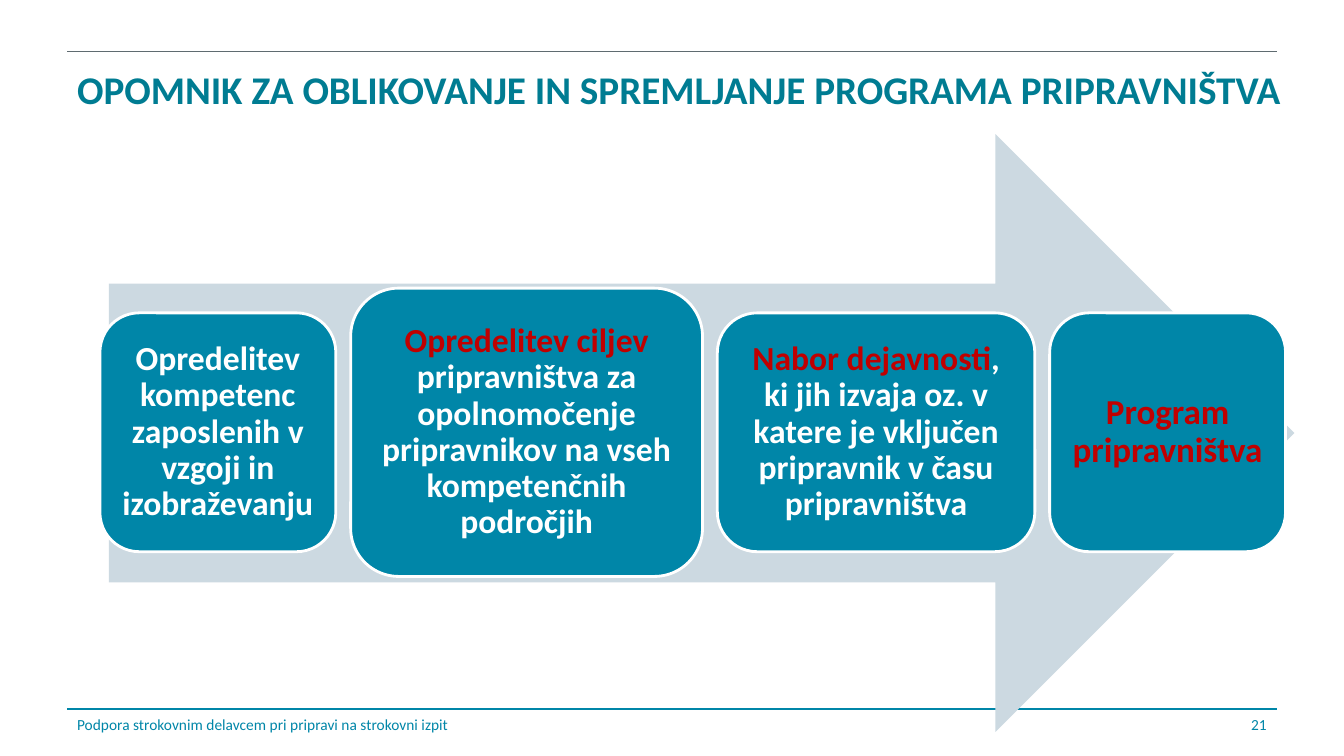
import pptx
import pptx.util
import pptx.dml.color
import pptx.enum.shapes
import pptx.enum.text
import lxml.etree

Pt = pptx.util.Pt
RGB = pptx.dml.color.RGBColor.from_string
Shape = pptx.enum.shapes.MSO_SHAPE
Align = pptx.enum.text.PP_ALIGN
COLORS = {"teal": "0086A8", "title": "007C92", "arrow": "CCD9E1",
          "red": "C00000", "white": "FFFFFF", "grey": "5F6B70"}

deck = pptx.Presentation()
deck.slide_width, deck.slide_height = Pt(960), Pt(540)
slide = deck.slides.add_slide(deck.slide_layouts[6])
shapes = slide.shapes


def style(para, size, bold, align):
    para.font.name = "Calibri"
    para.font.size = Pt(size)
    para.font.bold = bold
    para.alignment = align


def label(text, box, size, color, bold=False, align=Align.LEFT):
    frame = shapes.add_textbox(*[Pt(v) for v in box]).text_frame
    frame.word_wrap = True
    para = frame.paragraphs[0]
    para.text = text
    style(para, size, bold, align)
    para.font.color.rgb = RGB(COLORS[color])
    return para


# Rules above the title and above the footer
for y, color, width in [(506.2, "teal", 1.5), (36.7, "grey", 0.75)]:
    rule = shapes.add_connector(pptx.enum.shapes.MSO_CONNECTOR.STRAIGHT,
                                Pt(48), Pt(y), Pt(912), Pt(y))
    rule.line.color.rgb = RGB(COLORS[color])
    rule.line.width = Pt(width)
    lxml.etree.SubElement(rule._element.spPr, pptx.oxml.ns.qn("a:effectLst"))

# Footer and title
label("Podpora strokovnim delavcem pri pripravi na strokovni izpit",
      (48, 507.6, 584, 28.8), 11, "teal")
label("21", (688, 507.6, 224, 28.8), 11, "teal", align=Align.RIGHT)
title = label("OPOMNIK ZA OBLIKOVANJE IN SPREMLJANJE PROGRAMA PRIPRAVNIŠTVA",
              (48, 41, 900, 44), 28, "title", bold=True)
title.line_spacing = 1.07

# Large arrow behind the steps
arrow = shapes.add_shape(Shape.RIGHT_ARROW, Pt(77.8), Pt(95.8), Pt(846.7), Pt(427))
arrow.shadow.inherit = False
arrow.fill.solid()
arrow.fill.fore_color.rgb = RGB(COLORS["arrow"])
arrow.line.fill.background()

# Steps: width, height, text size, coloured runs
STEPS = [
    (168.5, 170.6, 24,
     [("Opredelitev kompetenc zaposlenih v vzgoji in izobraževanju", "white")]),
    (251.3, 205.9, 24,
     [("Opredelitev ciljev ", "red"),
      ("pripravništva za opolnomočenje pripravnikov na vseh "
       "kompetenčnih področjih", "white")]),
    (226.8, 170.6, 24,
     [("Nabor dejavnosti", "red"),
      (", ki jih izvaja oz. v katere je vključen pripravnik v času "
       "pripravništva", "white")]),
    (168.5, 170.6, 25, [("Program pripravništva", "red")]),
]
GAP, MIDDLE = 10.6, 308.8
left = 71.4
for width, height, size, runs in STEPS:
    step = shapes.add_shape(Shape.ROUNDED_RECTANGLE, Pt(left),
                            Pt(MIDDLE - height / 2), Pt(width), Pt(height))
    step.shadow.inherit = False
    step.fill.solid()
    step.fill.fore_color.rgb = RGB(COLORS["teal"])
    step.line.color.rgb = RGB(COLORS["white"])
    step.line.width = Pt(2)
    frame = step.text_frame
    frame.word_wrap = True
    frame.vertical_anchor = pptx.enum.text.MSO_ANCHOR.MIDDLE
    frame.margin_left = frame.margin_right = Pt(7.2)
    frame.margin_top = frame.margin_bottom = Pt(7.2)
    para = frame.paragraphs[0]
    style(para, size, True, Align.CENTER)
    para.line_spacing = 0.9
    for text, color in runs:
        run = para.add_run()
        run.text = text
        run.font.color.rgb = RGB(COLORS[color])
    left += width + GAP

deck.save("out.pptx")
